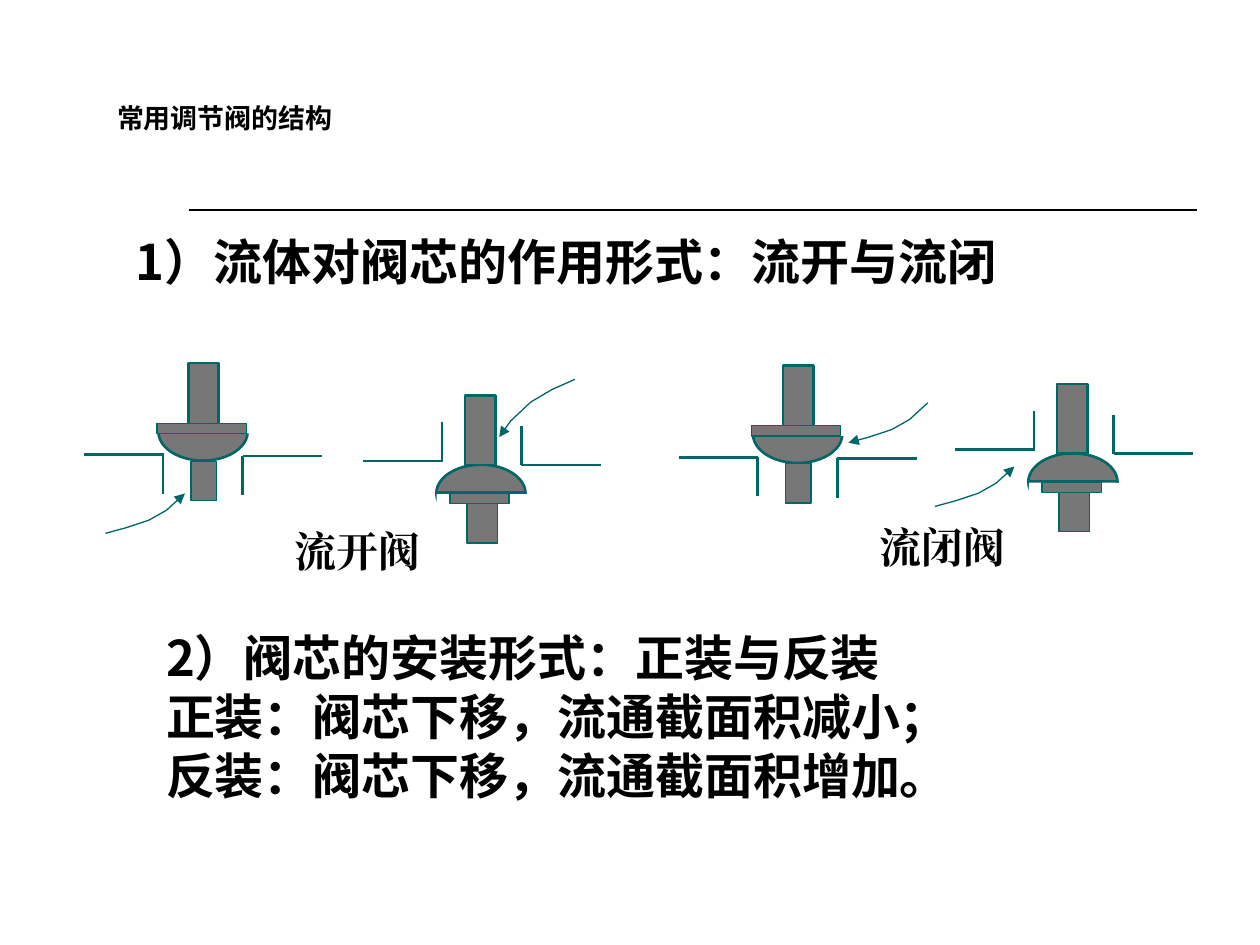
from pptx import Presentation
from pptx.dml.color import RGBColor
from pptx.enum.shapes import MSO_CONNECTOR, MSO_SHAPE
from pptx.enum.text import MSO_AUTO_SIZE, PP_ALIGN
from pptx.oxml import parse_xml
from pptx.oxml.ns import nsdecls, qn
from pptx.util import Pt

COLORS = {"ink": "000000", "teal": "006666", "metal": "777777", "paper": "FFFFFF"}
SANS, SERIF = "Noto Sans CJK SC", "Times New Roman"
THICK, THIN = 1.5, 0.75

# Flow curves, relative to their own top left corner
RISING = [(0, 22.8), (11.8, 19.6), (24.8, 15.3), (34.9, 9.6), (45.4, 0)]
BENDING = [(0, 33), (6.5, 23.8), (18, 13), (30.2, 5.8), (43.2, 0)]


def rgb(name):
    return RGBColor.from_string(COLORS[name])


def add_text(slide, box, lines, size, font=SANS, align=PP_ALIGN.LEFT,
             spacing=None, grow=True):
    sp = slide.shapes.add_textbox(*map(Pt, box))
    tf = sp.text_frame
    tf.word_wrap = True
    tf.auto_size = MSO_AUTO_SIZE.SHAPE_TO_FIT_TEXT if grow else MSO_AUTO_SIZE.NONE
    for i, line in enumerate(lines):
        p = tf.paragraphs[0] if i == 0 else tf.add_paragraph()
        p.alignment = align
        if spacing:
            p.line_spacing = spacing
        r = p.add_run()
        r.text = line
        r.font.size, r.font.bold, r.font.name = Pt(size), True, font
        r.font.color.rgb = rgb("ink")
        ea = r.font._element.makeelement(qn("a:ea"), {"typeface": font})
        r.font._element.find(qn("a:latin")).addnext(ea)


def add_line(shapes, x1, y1, x2, y2, color="teal", width=THICK):
    cn = shapes.add_connector(MSO_CONNECTOR.STRAIGHT, *map(Pt, (x1, y1, x2, y2)))
    cn.line.color.rgb = rgb(color)
    cn.line.width = Pt(width)
    cn._element.spPr.append(parse_xml(f"<a:effectLst {nsdecls('a')}/>"))


def add_part(shapes, kind, x, y, w, h, fill="metal", width=THIN):
    sp = shapes.add_shape(kind, *map(Pt, (x, y, w, h)))
    sp.shadow.inherit = False
    sp.fill.solid()
    sp.fill.fore_color.rgb = rgb(fill)
    if width:
        sp.line.color.rgb = rgb("teal")
        sp.line.width = Pt(width)
    else:
        sp.line.fill.background()


def add_flow(shapes, x, y, curve, end):
    """Curved flow arrow; end is headEnd (first point) or tailEnd (last point)."""
    points = [(Pt(x + dx), Pt(y + dy)) for dx, dy in curve]
    builder = shapes.build_freeform(*points[0])
    builder.add_line_segments(points[1:], close=False)
    sp = builder.convert_to_shape()
    sp.shadow.inherit = False
    sp.fill.background()
    sp.line.color.rgb = rgb("teal")
    sp.line.width = Pt(THIN)
    sp.line._get_or_add_ln().append(
        parse_xml(f'<a:{end} {nsdecls("a")} type="triangle"/>'))


def add_seat(shapes, x, left_y, right_y, wall):
    """Two ledges with a wall at each inner edge; wall is its signed height."""
    add_line(shapes, x, left_y, x + 45.4, left_y)
    add_line(shapes, x + 45, left_y, x + 45, left_y + wall)
    add_line(shapes, x + 90.5, right_y, x + 135.9, right_y)
    add_line(shapes, x + 90.5, right_y, x + 90.5, right_y + wall)


def add_half_plug(shapes, x, y, mask_y, chord_y):
    """Half disc: an ellipse with one half covered and a chord drawn."""
    add_part(shapes, MSO_SHAPE.OVAL, x, y, 51, 32.8, width=THICK)
    add_part(shapes, MSO_SHAPE.RECTANGLE, x + 0.3, mask_y, 56.7, 23,
             fill="paper", width=None)
    add_line(shapes, x - 0.4, chord_y, x + 50.4, chord_y)


def upright_valve(slide, x, y, flow):
    shapes = slide.shapes.add_group_shape().shapes
    add_seat(shapes, x, y + 52.5, y + 53.2, 22.3)
    add_half_plug(shapes, x + 42.3, y + 23, y + 17.3, y + 40)
    add_part(shapes, MSO_SHAPE.RECTANGLE, x + 59.5, y, 17.3, 39.8, width=THICK)
    add_part(shapes, MSO_SHAPE.RECTANGLE, x + 41.5, y + 34.5, 51, 5.8)
    add_part(shapes, MSO_SHAPE.RECTANGLE, x + 61, y + 56.2, 14.4, 22.5)
    add_flow(shapes, *flow)


def inverted_valve(slide, x, y, flow):
    shapes = slide.shapes.add_group_shape().shapes
    add_seat(shapes, x, y + 37.5, y + 39.8, -22.3)
    add_half_plug(shapes, x + 41.8, y + 39.6, y + 56.5, y + 55.4)
    add_part(shapes, MSO_SHAPE.RECTANGLE, x + 58.3, y, 17.3, 39.8, width=THICK)
    add_part(shapes, MSO_SHAPE.RECTANGLE, x + 59.4, y + 62, 17.3, 22.5)
    add_part(shapes, MSO_SHAPE.RECTANGLE, x + 49.7, y + 56.2, 33.8, 5.8)
    add_flow(shapes, *flow)


def header(slide):
    add_text(slide, (59.8, 58.3, 612, 51), ["常用调节阀的结构"], 15.4,
             spacing=0.8, grow=False)
    add_line(slide.shapes, 108, 120, 684, 120, color="ink", width=1)


def main():
    prs = Presentation()
    prs.slide_width, prs.slide_height = Pt(720), Pt(540)
    slide = prs.slides.add_slide(prs.slide_layouts[6])
    header(slide)

    # Flow-to-open pair
    upright_valve(slide, 48.2, 207.4, (60.3, 282, RISING, "tailEnd"))
    inverted_valve(slide, 207.5, 225.9, (285.3, 216.8, BENDING, "headEnd"))
    # Flow-to-close pair
    upright_valve(slide, 388, 208.8, (484.8, 230.2, RISING, "headEnd"))
    inverted_valve(slide, 545.8, 219.4, (534.3, 266.6, RISING, "tailEnd"))

    # Pair labels
    for text, x, y in (("流开阀", 139, 296.6), ("流闭阀", 473.5, 294.5)):
        add_text(slide, (x, y, 130.3, 36), [text], 24, font=SERIF,
                 align=PP_ALIGN.CENTER)

    # Statements above and below the valves
    add_text(slide, (70.6, 128.9, 542, 41), ["1）流体对阀芯的作用形式：流开与流闭"], 28)
    add_text(slide, (87.8, 355, 489, 122.4),
             ["2）阀芯的安装形式：正装与反装",
              "正装：阀芯下移，流通截面积减小；",
              "反装：阀芯下移，流通截面积增加。"], 28)
    prs.save("out.pptx")


if __name__ == "__main__":
    main()
